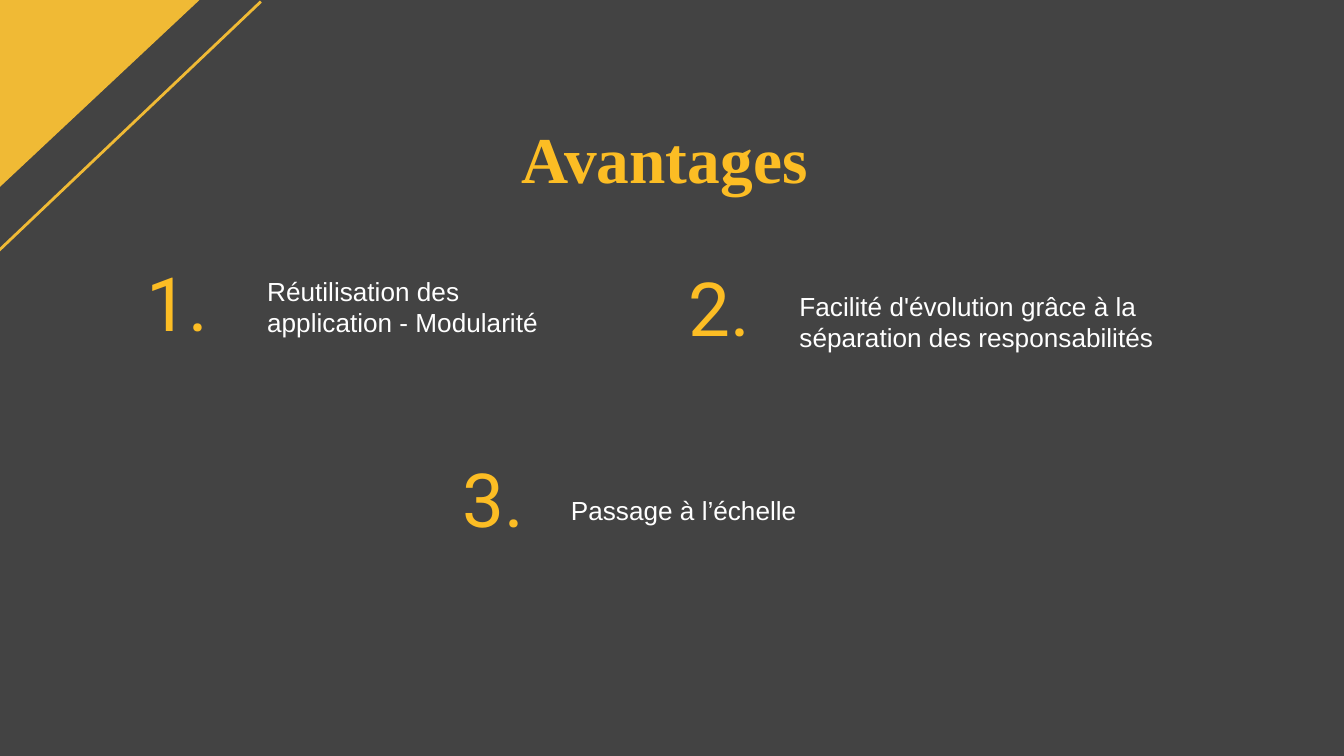
from pptx import Presentation
from pptx.dml.color import RGBColor
from pptx.enum.shapes import MSO_CONNECTOR, MSO_SHAPE
from pptx.enum.text import MSO_ANCHOR, MSO_AUTO_SIZE, PP_ALIGN
from pptx.oxml.xmlchemy import OxmlElement
from pptx.util import Cm, Pt

RECTANGLE, TRIANGLE = MSO_SHAPE.RECTANGLE, MSO_SHAPE.RIGHT_TRIANGLE
STRAIGHT = MSO_CONNECTOR.STRAIGHT
TOP, MIDDLE = MSO_ANCHOR.TOP, MSO_ANCHOR.MIDDLE
LEFT, CENTER, RIGHT = PP_ALIGN.LEFT, PP_ALIGN.CENTER, PP_ALIGN.RIGHT
FIXED, GROW = MSO_AUTO_SIZE.NONE, MSO_AUTO_SIZE.SHAPE_TO_FIT_TEXT

GREY = RGBColor(0x43, 0x43, 0x43)
GOLD = RGBColor(0xF0, 0xBA, 0x35)
YELLOW = RGBColor(0xFC, 0xBD, 0x24)
WHITE = RGBColor(0xFF, 0xFF, 0xFF)


def write(box, text, font="Arial", size=14, color=WHITE, bold=False,
          align=LEFT, anchor=TOP, fit=GROW):
    frame = box.text_frame
    frame.word_wrap = True
    frame.auto_size = fit
    frame.vertical_anchor = anchor
    frame.margin_left = frame.margin_right = Cm(0.25)
    frame.margin_top = frame.margin_bottom = Cm(0.25)
    para = frame.paragraphs[0]
    para.alignment = align
    span = para.add_run()
    span.text = text
    span.font.name = font
    span.font.size = Pt(size)
    span.font.bold = bold
    span.font.color.rgb = color


def add_filled(kind, left, top, width, height, color):
    shape = shapes.add_shape(kind, Cm(left), Cm(top), Cm(width), Cm(height))
    shape.shadow.inherit = False
    shape.fill.solid()
    shape.fill.fore_color.rgb = color
    shape.line.color.rgb = color
    shape.line.width = Pt(0.75)
    return shape


deck = Presentation()
deck.slide_width, deck.slide_height = Cm(25.4), Cm(14.29)
page = deck.slides.add_slide(deck.slide_layouts[5])
shapes = page.shapes

# Dark backdrop, sent behind the title
backdrop = add_filled(RECTANGLE, 0, 0, 25.4, 14.29, GREY)
shapes.title._element.addprevious(backdrop._element)

# Title
title = shapes.title
title.left, title.top, title.width, title.height = Cm(5.72), Cm(1.98), Cm(14), Cm(2.01)
write(title, "Avantages ", font="Times New Roman", size=35, color=YELLOW,
      bold=True, align=CENTER)

# Numbered advantages: number position, then text box and its anchor
advantages = [
    ("Réutilisation des application - Modularité",
     (2.46, 4.9), (4.8, 4.95, 6.45, 1.7), TOP),
    ("Facilité d'évolution grâce à la séparation des responsabilités",
     (12.7, 5), (14.86, 5.23, 8.2, 1.7), MIDDLE),
    ("Passage à l’échelle",
     (8.43, 8.61), (10.54, 9.09, 6.45, 1.12), TOP),
]
for number, (text, (left, top), area, anchor) in enumerate(advantages, 1):
    number_box = shapes.add_textbox(Cm(left), Cm(top), Cm(1.73), Cm(1.6))
    write(number_box, f"{number}.", font="Roboto", size=40, color=YELLOW,
          align=RIGHT, anchor=MIDDLE, fit=FIXED)
    text_box = shapes.add_textbox(*map(Cm, area))
    write(text_box, text, anchor=anchor)

# Corner triangle, turned so that its right angle is at the top left
corner = add_filled(TRIANGLE, 0.05, -0.25, 3.71, 3.96, GOLD)
corner.rotation = 90

# Diagonal line beside the corner
diagonal = shapes.add_connector(STRAIGHT, Cm(-0.3), Cm(5), Cm(4.93), Cm(0.03))
diagonal.line.color.rgb = GOLD
diagonal.line.width = Pt(1.5)
diagonal._element.spPr.append(OxmlElement("a:effectLst"))

deck.save("out.pptx")
